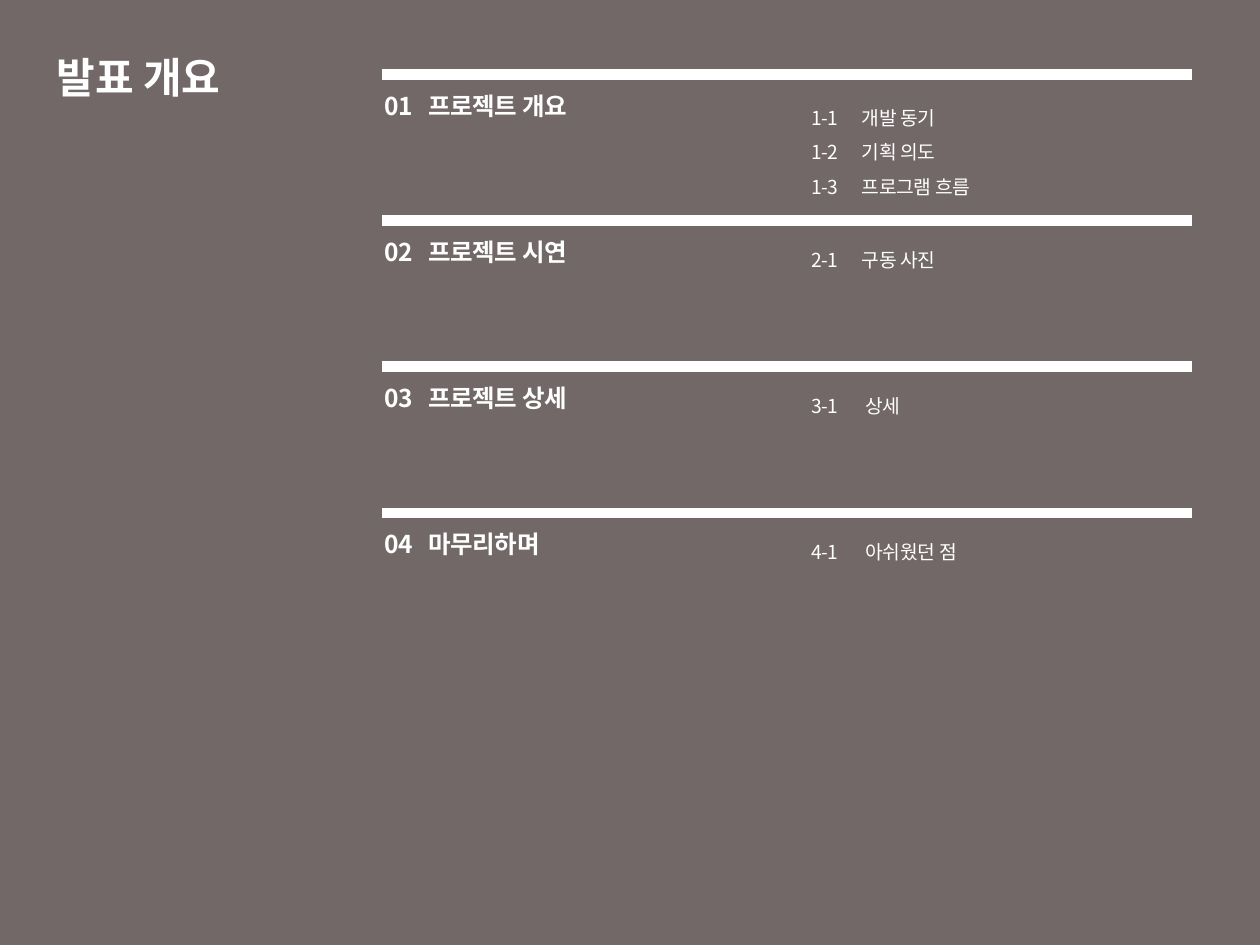
from dataclasses import dataclass

from lxml import etree
from pptx import Presentation
from pptx.dml.color import RGBColor
from pptx.enum.shapes import MSO_CONNECTOR, MSO_SHAPE
from pptx.enum.text import MSO_ANCHOR
from pptx.oxml.ns import qn
from pptx.slide import Slide
from pptx.text.text import _Paragraph as Paragraph
from pptx.util import Inches, Pt

STRAIGHT = MSO_CONNECTOR.STRAIGHT
RECTANGLE = MSO_SHAPE.RECTANGLE
MIDDLE = MSO_ANCHOR.MIDDLE
TOP = MSO_ANCHOR.TOP

WHITE = RGBColor(0xFF, 0xFF, 0xFF)
TAUPE = RGBColor(0x72, 0x68, 0x68)
FONT_NAME = "Noto Sans CJK KR"

SLIDE_WIDTH, SLIDE_HEIGHT = 10, 7.5
FIRST_BAR_TOP = 0.59
SECTION_PITCH = 1.16
BAR_SEGMENTS = ((3.03, 6.65), (6.42, 9.46))
HEADING_LEFT, DETAIL_LEFT = 2.95, 6.34
COLUMN_WIDTH = 3.62
HEADING_TAB = 0.35


@dataclass(frozen=True)
class Section:
    heading: str
    details: tuple[str, ...]
    detail_tab: float
    detail_offset: float = 0.08
    detail_height: float = 0.71


@dataclass(frozen=True)
class TextStyle:
    size: float
    bold: bool = False
    spacing: int = 0
    line_spacing: float = 1.0
    anchor: MSO_ANCHOR = TOP


TITLE_STYLE = TextStyle(24, bold=True, anchor=MIDDLE)
HEADING_STYLE = TextStyle(14, bold=True, spacing=-20)
DETAIL_STYLE = TextStyle(11, spacing=-20, line_spacing=1.5)

SECTIONS = (
    Section("01\t프로젝트 개요",
            ("1-1\t개발 동기", "1-2\t기획 의도", "1-3\t프로그램 흐름"),
            0.4, 0.11, 0.98),
    Section("02\t프로젝트 시연", ("2-1\t구동 사진",), 0.4),
    Section("03\t프로젝트 상세", ("3-1\t상세",), 0.43),
    Section("04\t마무리하며", ("4-1\t아쉬웠던 점",), 0.43),
)


def add_tab_stop(paragraph: Paragraph, position: float) -> None:
    properties = paragraph._p.get_or_add_pPr()
    tab_list = etree.SubElement(properties, qn("a:tabLst"))
    etree.SubElement(tab_list, qn("a:tab"), pos=str(Inches(position)), algn="l")


def format_runs(paragraph: Paragraph, style: TextStyle) -> None:
    for run in paragraph.runs:
        run.font.name = FONT_NAME
        run.font.size = Pt(style.size)
        run.font.bold = style.bold
        run.font.color.rgb = WHITE
        properties = run._r.get_or_add_rPr()
        properties.set("spc", str(style.spacing))
        etree.SubElement(properties, qn("a:ea"), typeface=FONT_NAME)


def add_text(slide: Slide, left: float, top: float, width: float, height: float,
             lines: tuple[str, ...], style: TextStyle, tab: float = 0) -> None:
    box = slide.shapes.add_textbox(Inches(left), Inches(top), Inches(width), Inches(height))
    text_frame = box.text_frame
    text_frame.word_wrap = True
    text_frame.vertical_anchor = style.anchor
    text_frame.text = "\n".join(lines)
    for paragraph in text_frame.paragraphs:
        paragraph.line_spacing = style.line_spacing
        if tab:
            add_tab_stop(paragraph, tab)
        format_runs(paragraph, style)


def add_bar(slide: Slide, top: float) -> None:
    for left, right in BAR_SEGMENTS:
        bar = slide.shapes.add_connector(
            STRAIGHT, Inches(left), Inches(top), Inches(right), Inches(top))
        bar.line.color.rgb = WHITE
        bar.line.width = Pt(6)
        etree.SubElement(bar._element.spPr, qn("a:effectLst"))


def add_section(slide: Slide, section: Section, top: float) -> None:
    add_bar(slide, top)
    add_text(slide, HEADING_LEFT, top + 0.08, COLUMN_WIDTH, 0.39,
             (section.heading,), HEADING_STYLE, HEADING_TAB)
    add_text(slide, DETAIL_LEFT, top + section.detail_offset, COLUMN_WIDTH,
             section.detail_height, section.details, DETAIL_STYLE, section.detail_tab)


def add_backdrop(slide: Slide) -> None:
    backdrop = slide.shapes.add_shape(
        RECTANGLE, 0, 0, Inches(SLIDE_WIDTH), Inches(SLIDE_HEIGHT))
    backdrop.shadow.inherit = False
    backdrop.fill.solid()
    backdrop.fill.fore_color.rgb = TAUPE
    backdrop.line.fill.background()


def main() -> None:
    presentation = Presentation()
    presentation.slide_width = Inches(SLIDE_WIDTH)
    presentation.slide_height = Inches(SLIDE_HEIGHT)
    slide = presentation.slides.add_slide(presentation.slide_layouts[6])
    add_backdrop(slide)
    add_text(slide, 0.35, 0.29, 3.15, 0.63, ("발표 개요",), TITLE_STYLE)
    for index, section in enumerate(SECTIONS):
        add_section(slide, section, FIRST_BAR_TOP + index * SECTION_PITCH)
    presentation.save("out.pptx")


if __name__ == "__main__":
    main()
